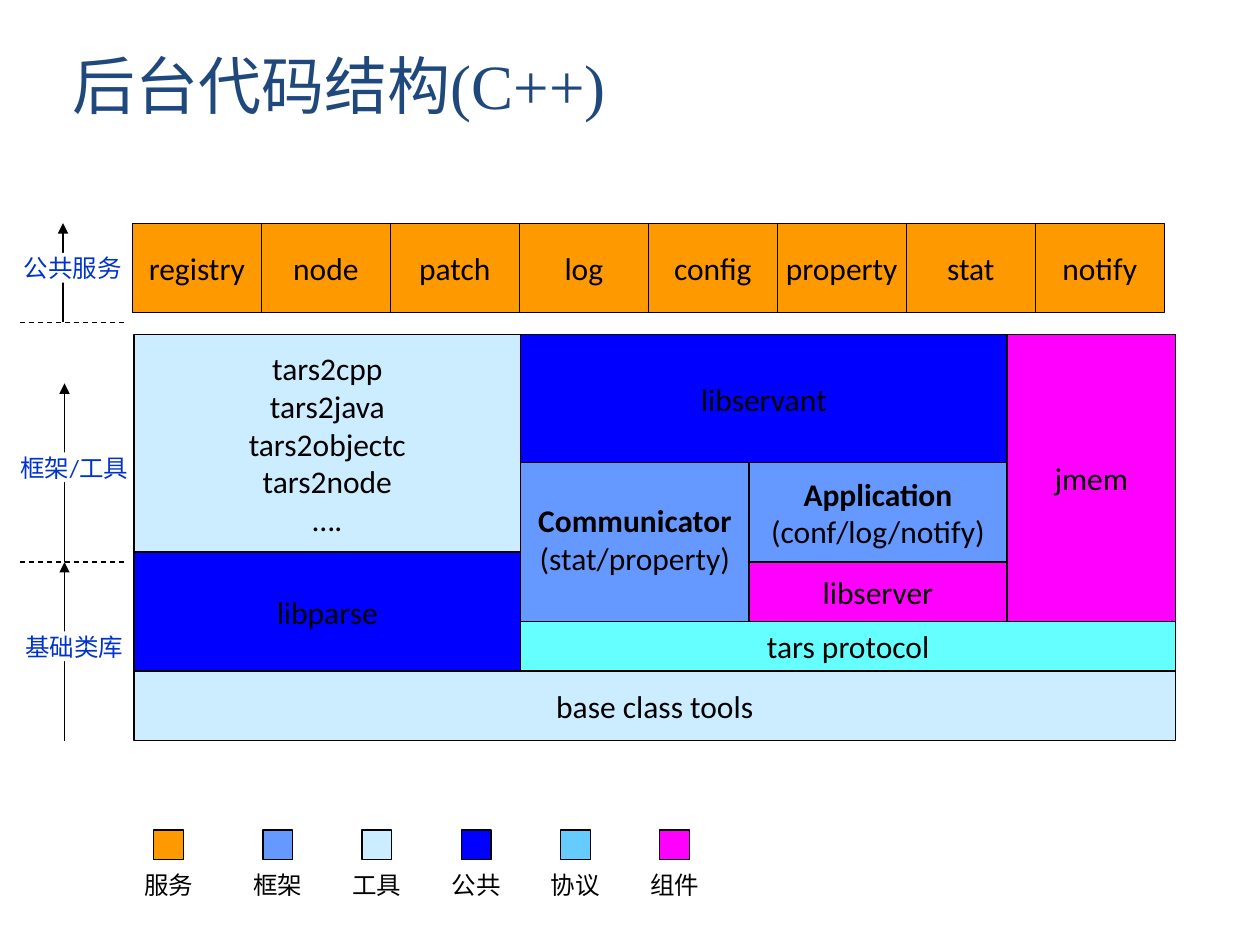
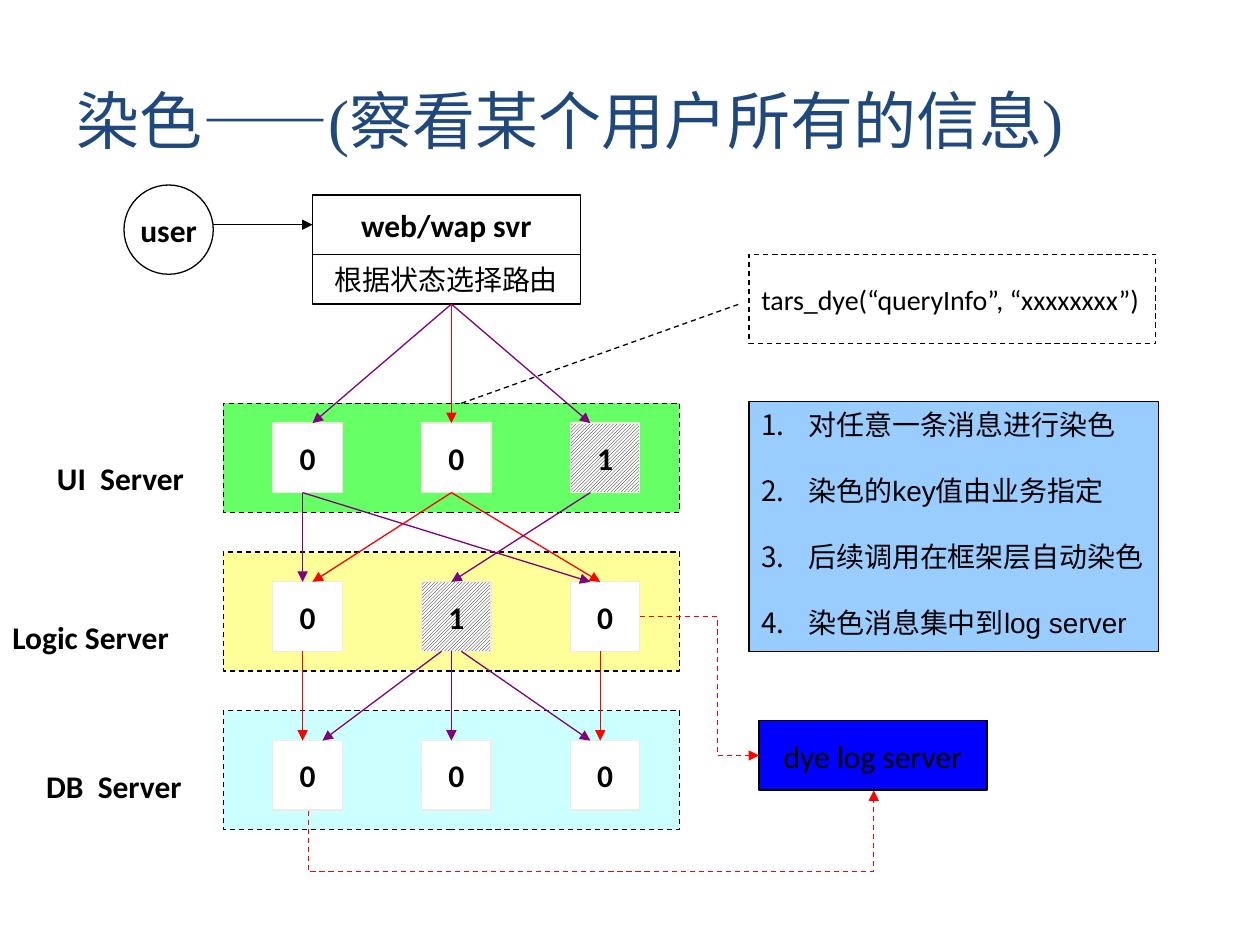
from dataclasses import dataclass

from lxml.etree import SubElement
from pptx import Presentation
from pptx.dml.color import RGBColor
from pptx.enum.dml import MSO_LINE, MSO_PATTERN
from pptx.enum.shapes import MSO_CONNECTOR as LINK, MSO_SHAPE as SHAPE
from pptx.enum.text import MSO_ANCHOR as ANCHOR, PP_ALIGN as ALIGN
from pptx.oxml.ns import qn
from pptx.util import Cm, Pt

BLACK = RGBColor(0x00, 0x00, 0x00)
WHITE = RGBColor(0xFF, 0xFF, 0xFF)
NAVY = RGBColor(0x1F, 0x49, 0x7D)
LABEL_BLUE = RGBColor(0x00, 0x33, 0xCC)
ORANGE = RGBColor(0xFF, 0x99, 0x00)
FRAME_BLUE = RGBColor(0x66, 0x99, 0xFF)
PALE_BLUE = RGBColor(0xCC, 0xEC, 0xFF)
BLUE = RGBColor(0x00, 0x00, 0xFF)
SKY = RGBColor(0x66, 0xCC, 0xFF)
AQUA = RGBColor(0x66, 0xFF, 0xFF)
MAGENTA = RGBColor(0xFF, 0x00, 0xFF)
GREEN = RGBColor(0x66, 0xFF, 0x66)
YELLOW = RGBColor(0xFF, 0xFF, 0x99)
PALE_CYAN = RGBColor(0xCC, 0xFF, 0xFF)
NOTE_BLUE = RGBColor(0x99, 0xCC, 0xFF)
IVORY = RGBColor(0xEE, 0xEC, 0xE1)
PURPLE = RGBColor(0x80, 0x00, 0x80)
RED = RGBColor(0xFF, 0x00, 0x00)

SERIF, BODY, SANS = "Times New Roman", "Calibri", "Arial"


@dataclass
class Run:
    text: str
    bold: bool = False
    font: str = BODY


class Deck:
    """Holds the shared style and the slide being drawn."""

    def __init__(self):
        self.prs = Presentation()
        self.prs.slide_width, self.prs.slide_height = Cm(25.4), Cm(19.05)
        self.slide = None

    def new_slide(self):
        self.slide = self.prs.slides.add_slide(self.prs.slide_layouts[6])

    def fill_text(self, shape, paragraphs, size=18, color=BLACK, align=ALIGN.CENTER,
                  anchor=ANCHOR.MIDDLE, wrap=False):
        """Each paragraph is a string or a list of runs."""
        frame = shape.text_frame
        frame.word_wrap, frame.vertical_anchor = wrap, anchor
        for index, content in enumerate(paragraphs):
            paragraph = frame.add_paragraph() if index else frame.paragraphs[0]
            paragraph.alignment = align
            for part in [Run(content)] if isinstance(content, str) else content:
                run = paragraph.add_run()
                run.text = part.text
                run.font.name, run.font.size = part.font, Pt(size)
                run.font.bold = part.bold
                run.font.color.rgb = color

    def label(self, area, paragraphs, **style):
        label = self.slide.shapes.add_textbox(*map(Cm, area))
        self.fill_text(label, paragraphs, **style)

    def title(self, area, runs):
        self.label(area, [runs], size=36, color=NAVY, align=ALIGN.LEFT,
                   anchor=ANCHOR.BOTTOM, wrap=True)

    def box(self, area, paragraphs=(), fill=None, line=BLACK, dashed=False,
            hatched=False, kind=SHAPE.RECTANGLE, **style):
        box = self.slide.shapes.add_shape(kind, *map(Cm, area))
        box.shadow.inherit = False
        if hatched:
            box.fill.patterned()
            box.fill.pattern = MSO_PATTERN.LIGHT_UPWARD_DIAGONAL
            box.fill.fore_color.rgb, box.fill.back_color.rgb = BLACK, WHITE
        elif fill is None:
            box.fill.background()
        else:
            box.fill.solid()
            box.fill.fore_color.rgb = fill
        if line is None:
            box.line.fill.background()
        else:
            self.stroke(box.line, line, dashed)
        self.fill_text(box, paragraphs, **style)
        return box

    def stroke(self, line, color, dashed):
        line.color.rgb, line.width = color, Pt(0.75)
        if dashed:
            line.dash_style = MSO_LINE.DASH

    def link(self, start, end, color=BLACK, dashed=False, arrow=True, bend=None, turn=0):
        """A line with an arrow at its end; bend places the elbow, turn is in degrees."""
        kind = LINK.STRAIGHT if bend is None else LINK.ELBOW
        link = self.slide.shapes.add_connector(kind, *map(Cm, (*start, *end)))
        self.stroke(link.line, color, dashed)
        props = link.element.spPr
        if arrow:
            SubElement(props.find(qn("a:ln")), qn("a:tailEnd"), type="triangle")
        SubElement(props, qn("a:effectLst"))
        if bend is not None:
            guides = props.find(qn("a:prstGeom")).find(qn("a:avLst"))
            SubElement(guides, qn("a:gd"), name="adj1", fmla=f"val {round(bend * 100000)}")
        if turn:
            props.find(qn("a:xfrm")).set("rot", str(turn * 60000))
        return link

    def number(self, shape, gap):
        """Numbers the paragraphs of a shape, with a gap after each."""
        for paragraph in shape.text_frame.paragraphs:
            paragraph.space_after = Pt(gap)
            props = paragraph._p.get_or_add_pPr()
            props.set("marL", str(Cm(0.95)))
            props.set("indent", str(-Cm(0.95)))
            SubElement(props, qn("a:buFont"), typeface=BODY)
            SubElement(props, qn("a:buAutoNum"), type="arabicPeriod")


def code_structure(deck):
    deck.new_slide()
    deck.title((1.22, 0.28, 22.9, 2.3), [Run("后台代码结构(C++)", font=SERIF)])

    # Row of public services
    services = ("registry", "node", "patch", "log", "config", "property", "stat", "notify")
    for column, service in enumerate(services):
        deck.box((2.67 + 2.6 * column, 4.5, 2.6, 1.8), [service], ORANGE)

    # Library blocks
    blocks = [
        ((2.7, 13.53, 21, 1.4), ["base class tools"], PALE_BLUE),
        ((15.1, 9.33, 5.2, 2), [[Run("Application", True)], "(conf/log/notify)"], FRAME_BLUE),
        ((15.1, 11.33, 5.2, 1.2), ["libserver"], MAGENTA),
        ((20.3, 6.75, 3.4, 5.78), ["jmem"], MAGENTA),
        ((2.7, 11.13, 7.8, 2.4), ["libparse"], BLUE),
        ((2.7, 6.75, 7.8, 4.38),
         ["tars2cpp", "tars2java", "tars2objectc", "tars2node", "…."], PALE_BLUE),
        ((10.5, 12.53, 13.2, 1), ["tars protocol"], AQUA),
        ((10.5, 6.75, 9.8, 2.58), ["libservant"], BLUE),
    ]
    communicator = deck.box((10.5, 9.33, 4.6, 3.2),
                            [[Run("Communicator", True)], "(stat/property)"],
                            FRAME_BLUE, anchor=ANCHOR.BOTTOM)
    communicator.text_frame.margin_bottom = Cm(0.9)
    for area, lines, fill in blocks:
        deck.box(area, lines, fill)

    # Layer names on their arrows
    layers = [("公共服务", 1.27, 6.5, 4.5, 5.1), ("框架/工具", 1.3, 11.33, 7.73, 9.12),
              ("基础类库", 1.3, 14.93, 11.33, 12.73)]
    for layer, x, bottom, top, label_top in layers:
        deck.link((x, bottom), (x, top))
        deck.box((x - 0.9, label_top, 2.2, 0.6), [layer], WHITE, None,
                 size=14, color=LABEL_BLUE)
    for y in (6.5, 11.33):
        deck.link((0.4, y), (2.5, y), dashed=True, arrow=False)

    # Legend
    legend = [("服务", ORANGE, 3.4), ("框架", FRAME_BLUE, 5.6), ("工具", PALE_BLUE, 7.6),
              ("公共", BLUE, 9.6), ("协议", SKY, 11.6), ("组件", MAGENTA, 13.6)]
    for name, fill, center in legend:
        deck.box((center - 0.3, 16.73, 0.6, 0.6), fill=fill)
        deck.label((center - 1.1, 17.53, 2.2, 0.6), [name], size=14)


def dyeing(deck):
    deck.new_slide()
    deck.title((1.3, 0.7, 22.9, 2.6),
               [Run("染色", font=SERIF), Run("——", font=SANS),
                Run("(察看某个用户所有的信息)", font=SERIF)])

    # Entry
    deck.box((2.5, 3.73, 1.8, 1.8), [[Run("user", True)]], kind=SHAPE.OVAL)
    web = deck.box((6.3, 3.93, 5.4, 1.2), [[Run("web/wap svr", True)]])
    deck.box((6.3, 5.13, 5.4, 1), ["根据状态选择路由"], size=16)
    deck.link((4.3, 4.53), (6.3, 4.53)).end_connect(web, 1)

    # Server tiers, a dyed node shows 1
    tiers = [("UI  Server", 0.9, 9.13, 8.13, 2.2, GREEN, "001"),
             ("Logic Server", 0, 12.33, 11.13, 2.4, YELLOW, "010"),
             ("DB  Server", 0.68, 15.33, 14.33, 2.4, PALE_CYAN, "000")]
    for row, (tier, x, label_top, top, height, fill, flags) in enumerate(tiers):
        deck.box((4.5, top, 9.2, height), fill=fill, dashed=True)
        deck.label((x, label_top, 3.8, 1.02), [[Run(tier, True)]],
                   align=ALIGN.LEFT, anchor=ANCHOR.TOP)
        for column, flag in enumerate(flags):
            deck.box((5.5 + 3 * column, 8.53 + 3.2 * row, 1.4, 1.4), [[Run(flag, True)]],
                     WHITE, IVORY, hatched=flag == "1")

    # Calls between tiers: start x, end x, colour
    calls = [
        (6.13, 8.53, [(9.1, 6.3, PURPLE), (9.1, 11.9, PURPLE), (9.1, 9.1, RED)]),
        (9.93, 11.73, [(6.1, 6.1, PURPLE), (9.1, 12.1, RED), (11.9, 9.1, PURPLE),
                       (6.1, 11.9, PURPLE), (9.1, 6.3, RED)]),
        (13.13, 14.93, [(8.9, 6.5, PURPLE), (9.1, 9.1, PURPLE), (9.3, 11.9, PURPLE),
                        (12.1, 12.1, RED), (6.1, 6.1, RED)]),
    ]
    for top, bottom, routes in calls:
        for start, end, color in routes:
            deck.link((start, top), (end, bottom), color)

    # Dye call and key points
    deck.box((15.1, 5.13, 8.2, 1.8), ["tars_dye(“queryInfo”, “xxxxxxxx”)"],
             dashed=True, size=16, align=ALIGN.LEFT)
    deck.link((9.3, 8.13), (14.9, 6.13), dashed=True, arrow=False)
    points = ("对任意一条消息进行染色", "染色的key值由业务指定",
              "后续调用在框架层自动染色", "染色消息集中到log server")
    rules = deck.box((15.1, 8.1, 8.25, 5.03), [[Run(point, font=SANS)] for point in points],
                     NOTE_BLUE, size=16, align=ALIGN.LEFT, anchor=ANCHOR.TOP, wrap=True)
    deck.number(rules, gap=18.5)

    # Log collection
    deck.box((15.3, 14.53, 4.6, 1.4), ["dye log server"], BLUE)
    deck.link((12.9, 12.43), (15.3, 15.23), RED, dashed=True, bend=0.65)
    deck.link((12.12, 21.84), (11.71, 10.44), RED, dashed=True, bend=-3, turn=90)


def main():
    deck = Deck()
    code_structure(deck)
    dyeing(deck)
    deck.prs.save("out.pptx")


if __name__ == "__main__":
    main()
